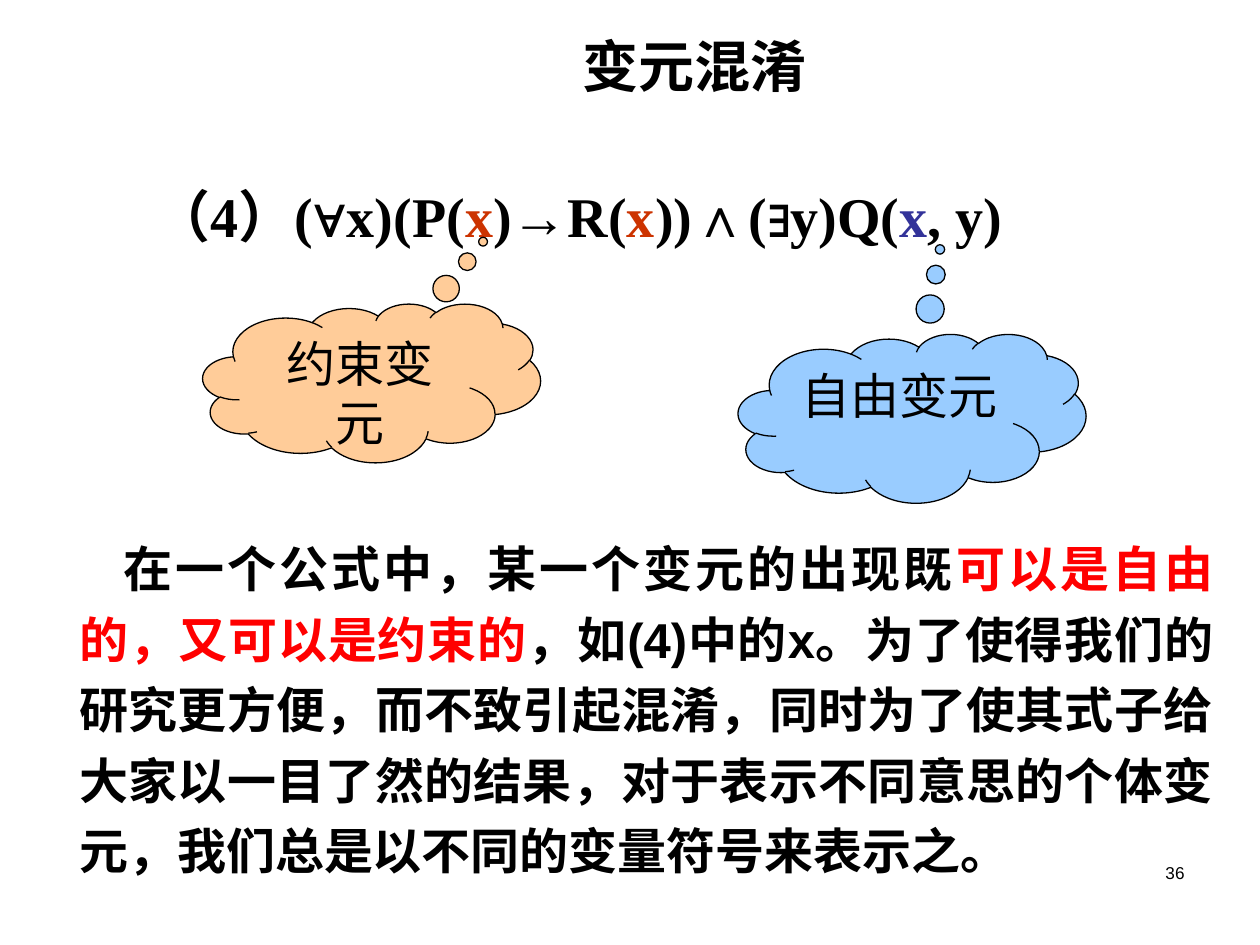
from pptx import Presentation
from pptx.dml.color import RGBColor
from pptx.enum.shapes import MSO_SHAPE
from pptx.enum.text import MSO_ANCHOR, PP_ALIGN
from pptx.util import Inches, Pt

CLOUD = MSO_SHAPE.CLOUD_CALLOUT
TOP, MIDDLE = MSO_ANCHOR.TOP, MSO_ANCHOR.MIDDLE
LEFT, CENTER = PP_ALIGN.LEFT, PP_ALIGN.CENTER
RIGHT, JUSTIFY = PP_ALIGN.RIGHT, PP_ALIGN.JUSTIFY

BLACK, RED, BOUND, FREE = "000000", "FF0000", "CC3300", "333399"
SANS, SERIF = "Arial", "Times New Roman"

TITLE = "变元混淆"
FORMULA = [
    ("（4）(", BLACK, SERIF),
    ("∀", BLACK, SANS),
    ("x)(P(", BLACK, SERIF),
    ("x", BOUND, SERIF),
    (")→R(", BLACK, SERIF),
    ("x", BOUND, SERIF),
    ("))∧(", BLACK, SERIF),
    ("∃", BLACK, SANS),
    ("y)Q(", BLACK, SERIF),
    ("x", FREE, SERIF),
    (", y)", BLACK, SERIF),
]
CALLOUTS = [
    ("约束变元", (1.61, 2.41, 2.68, 1.26), (0.33, -0.89), "FFCC99", 0.15),
    ("自由变元", (5.86, 2.65, 2.76, 1.34), (0.08, -1.0), "99CCFF", 0.1),
]
EXPLANATION = [
    ("在一个公式中，某一个变元的出现既", BLACK, SANS),
    ("可以是自由的，又可以是约束的", RED, SANS),
    ("，如(4)中的x。为了使得我们的研究更方便，而不致引起混淆，"
     "同时为了使其式子给大家以一目了然的结果，对于表示不同意思的个体变元，"
     "我们总是以不同的变量符号来表示之。", BLACK, SANS),
]
PAGE_NUMBER = "36"


def rgb(value):
    return RGBColor.from_string(value)


def write(shape, text, size, bold=False, align=LEFT, anchor=TOP,
          insets=(0.1, 0.05), indent=0, spacing=None):
    frame = shape.text_frame
    frame.word_wrap = True
    frame.vertical_anchor = anchor
    frame.margin_left = frame.margin_right = Inches(insets[0])
    frame.margin_top = frame.margin_bottom = Inches(insets[1])
    paragraph = frame.paragraphs[0]
    paragraph.alignment = align
    paragraph.space_before = Pt(0)
    if spacing:
        paragraph.line_spacing = spacing
    properties = paragraph._p.get_or_add_pPr()
    properties.set("hangingPunct", "0")
    if indent:
        properties.set("indent", str(Inches(indent)))
    pieces = [(text, BLACK, SANS)] if isinstance(text, str) else text
    for words, color, font in pieces:
        run = paragraph.add_run()
        run.text = words
        run.font.size = Pt(size)
        run.font.bold = bold
        run.font.name = font
        run.font.color.rgb = rgb(color)


def box(slide, *place):
    return slide.shapes.add_textbox(*map(Inches, place))


def add_callout(slide, label, place, pointer, color, side_inset):
    cloud = slide.shapes.add_shape(CLOUD, *map(Inches, place))
    cloud.shadow.inherit = False
    cloud.adjustments[0], cloud.adjustments[1] = pointer
    cloud.fill.solid()
    cloud.fill.fore_color.rgb = rgb(color)
    cloud.line.color.rgb = rgb(BLACK)
    cloud.line.width = Pt(0.75)
    write(cloud, label, 28, align=CENTER, insets=(side_inset, 0.05))


def main():
    deck = Presentation()
    deck.slide_width, deck.slide_height = Inches(10), Inches(7.5)
    slide = deck.slides.add_slide(deck.slide_layouts[5])

    title = slide.shapes.title
    title.left, title.top = Inches(2.17), Inches(0.29)
    title.width, title.height = Inches(6.69), Inches(0.46)
    write(title, TITLE, 32, bold=True, align=CENTER, anchor=MIDDLE)

    write(box(slide, 0.83, 1.39, 8.82, 0.92), FORMULA, 32, bold=True, indent=0.3)
    for callout in CALLOUTS:
        add_callout(slide, *callout)
    write(box(slide, 0.59, 4.14, 9.08, 2.88), EXPLANATION, 28, bold=True,
          align=JUSTIFY, insets=(0.04, 0.04), indent=0.35, spacing=1.2)
    write(box(slide, 7.17, 6.83, 2.33, 0.28), PAGE_NUMBER, 9.8,
          align=RIGHT, spacing=0.8)

    deck.save("out.pptx")


if __name__ == "__main__":
    main()
